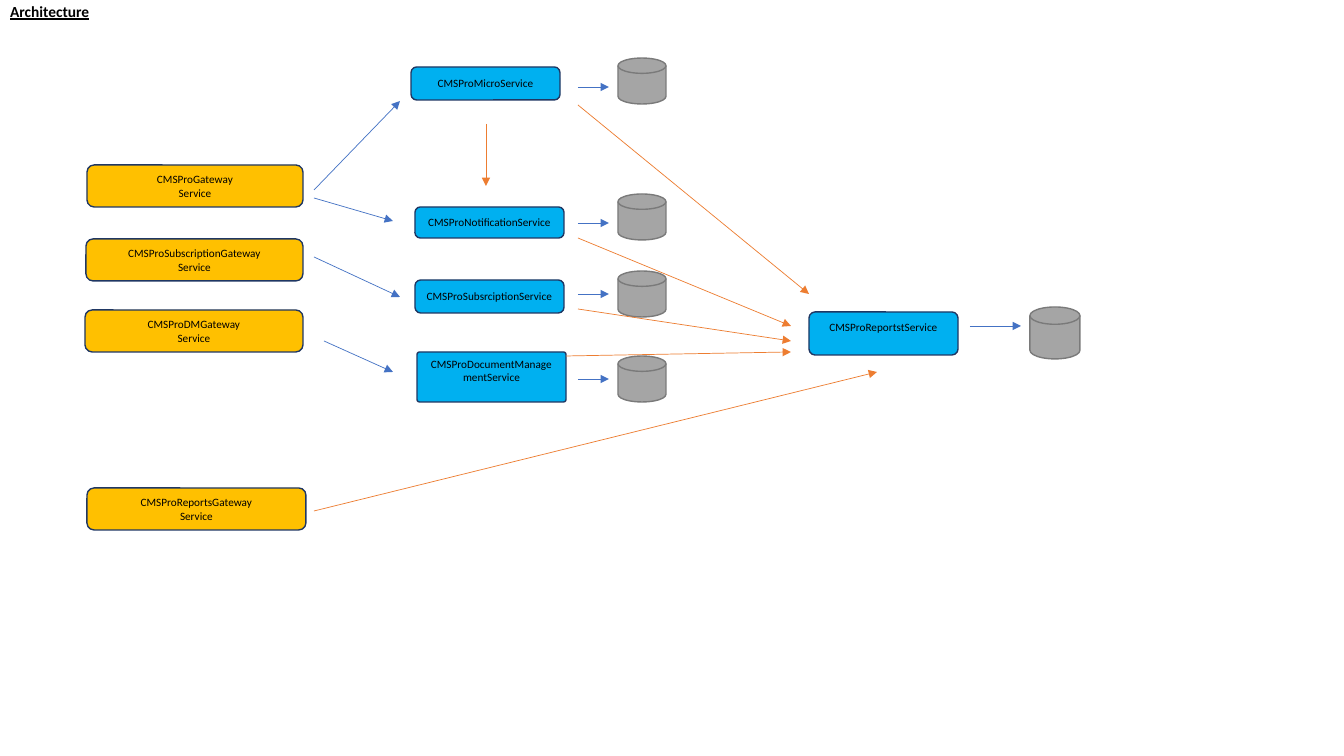
from lxml import etree
from pptx import Presentation
from pptx.dml.color import RGBColor
from pptx.enum.shapes import MSO_CONNECTOR as Connector, MSO_SHAPE as Preset
from pptx.enum.text import MSO_ANCHOR as Anchor, PP_ALIGN as Align
from pptx.oxml.ns import qn
from pptx.util import Emu, Pt

PX = 914400 / 100.8
COLORS = {
    "gateway": "FFC000", "service": "00B0F0", "box_line": "1F3763",
    "store": "A5A5A5", "store_line": "7A7A7A", "text": "000000",
    "call": "4472C4", "report": "ED7D31",
}
TITLE = "Architecture"

# Boxes: text, left, top, width, height
GATEWAYS = [
    ("CMSProGateway\nService", 87, 165, 216, 42),
    ("CMSProSubscriptionGateway\nService", 86, 239, 217, 42),
    ("CMSProDMGateway\nService", 85, 310, 218, 42),
    ("CMSProReportsGateway\nService", 87, 488, 219, 42),
]
# Services: text, left, top, height, corner radius ratio, bottom inset
SERVICE_WIDTH = 149
SERVICES = [
    ("CMSProMicroService", 411, 67, 33, 0.17, 5),
    ("CMSProNotificationService", 415, 207, 31, 0.17, 5),
    ("CMSProSubsrciptionService", 415, 280, 33, 0.17, 5),
    ("CMSProDocumentManagementService", 417, 352, 50, 0.05, 18),
    ("CMSProReportstService", 809, 312, 43, 0.14, 18),
]
STORE_TOPS = [58, 194, 271, 356]
REPORT_STORE = (1030, 307, 50, 52)
STORES = [(618, top, 48, 46) for top in STORE_TOPS] + [REPORT_STORE]

# Arrows: start x, start y, end x, end y
STORE_ARROW_ROWS = [87, 223, 294, 379]
ARROWS = {
    "call": [
        (314, 190, 400, 101), (314, 257, 400, 297),
        (314, 198, 393, 221), (324, 341, 393, 372),
        (970, 326, 1021, 326),
    ] + [(578, row, 609, row) for row in STORE_ARROW_ROWS],
    "report": [
        (578, 105, 809, 294), (578, 238, 791, 326), (578, 309, 791, 341),
        (566, 356, 791, 352), (314, 511, 877, 372), (486, 124, 486, 186),
    ],
}


def px(*lengths):
    """Turn pixel lengths into EMU."""
    return [Emu(round(length * PX)) for length in lengths]


def rgb(role):
    """Return the colour of a role."""
    return RGBColor.from_string(COLORS[role])


def apply(target, **values):
    """Set attributes from format values."""
    for name, value in values.items():
        setattr(target, name, value)


def add_part(slide, preset, bounds, fill, line):
    """Add a filled and outlined preset shape."""
    part = slide.shapes.add_shape(preset, *px(*bounds))
    part.shadow.inherit = False
    part.fill.solid()
    part.fill.fore_color.rgb = rgb(fill)
    part.line.color.rgb = rgb(line)
    part.line.width = Pt(1)
    return part


def write(frame, text, align, size, **style):
    """Write paragraphs with one alignment and font."""
    frame.text = text
    for paragraph in frame.paragraphs:
        paragraph.alignment = align
        for run in paragraph.runs:
            apply(run.font, name="Calibri", size=Pt(size), **style)
            run.font.color.rgb = rgb("text")


def add_box(slide, text, bounds, fill, corner=0.17, bottom=5):
    """Add a labelled rounded box."""
    box = add_part(slide, Preset.ROUNDED_RECTANGLE, bounds, fill, "box_line")
    box.adjustments[0] = corner
    apply(box.text_frame, word_wrap=True, vertical_anchor=Anchor.MIDDLE,
          margin_bottom=px(bottom)[0])
    write(box.text_frame, text, Align.CENTER, 8)


def add_arrow(slide, ends, role):
    """Add a thin straight arrow."""
    arrow = slide.shapes.add_connector(Connector.STRAIGHT, *px(*ends))
    arrow.line.color.rgb = rgb(role)
    arrow.line.width = Pt(0.5)
    outline = arrow.line._get_or_add_ln()
    etree.SubElement(outline, qn("a:tailEnd"), type="triangle")
    etree.SubElement(outline.getparent(), qn("a:effectLst"))


def add_title(slide):
    """Place the heading in the title placeholder."""
    title = slide.shapes.title
    left, top, width, height = px(0, 0, 1344, 50)
    apply(title, left=left, top=top, width=width, height=height)
    apply(title.text_frame, vertical_anchor=Anchor.TOP, margin_top=px(2)[0])
    write(title.text_frame, TITLE, Align.LEFT, 11, bold=True, underline=True)


deck = Presentation()
deck.slide_width, deck.slide_height = px(1344, 756)
slide = deck.slides.add_slide(deck.slide_layouts.get_by_name("Title Only"))

add_title(slide)
for text, *bounds in GATEWAYS:
    add_box(slide, text, bounds, "gateway")
for text, left, top, height, corner, bottom in SERVICES:
    add_box(slide, text, (left, top, SERVICE_WIDTH, height), "service",
            corner, bottom)
for bounds in STORES:
    add_part(slide, Preset.FLOWCHART_MAGNETIC_DISK, bounds,
             "store", "store_line")
for role, routes in ARROWS.items():
    for ends in routes:
        add_arrow(slide, ends, role)

deck.save("out.pptx")
